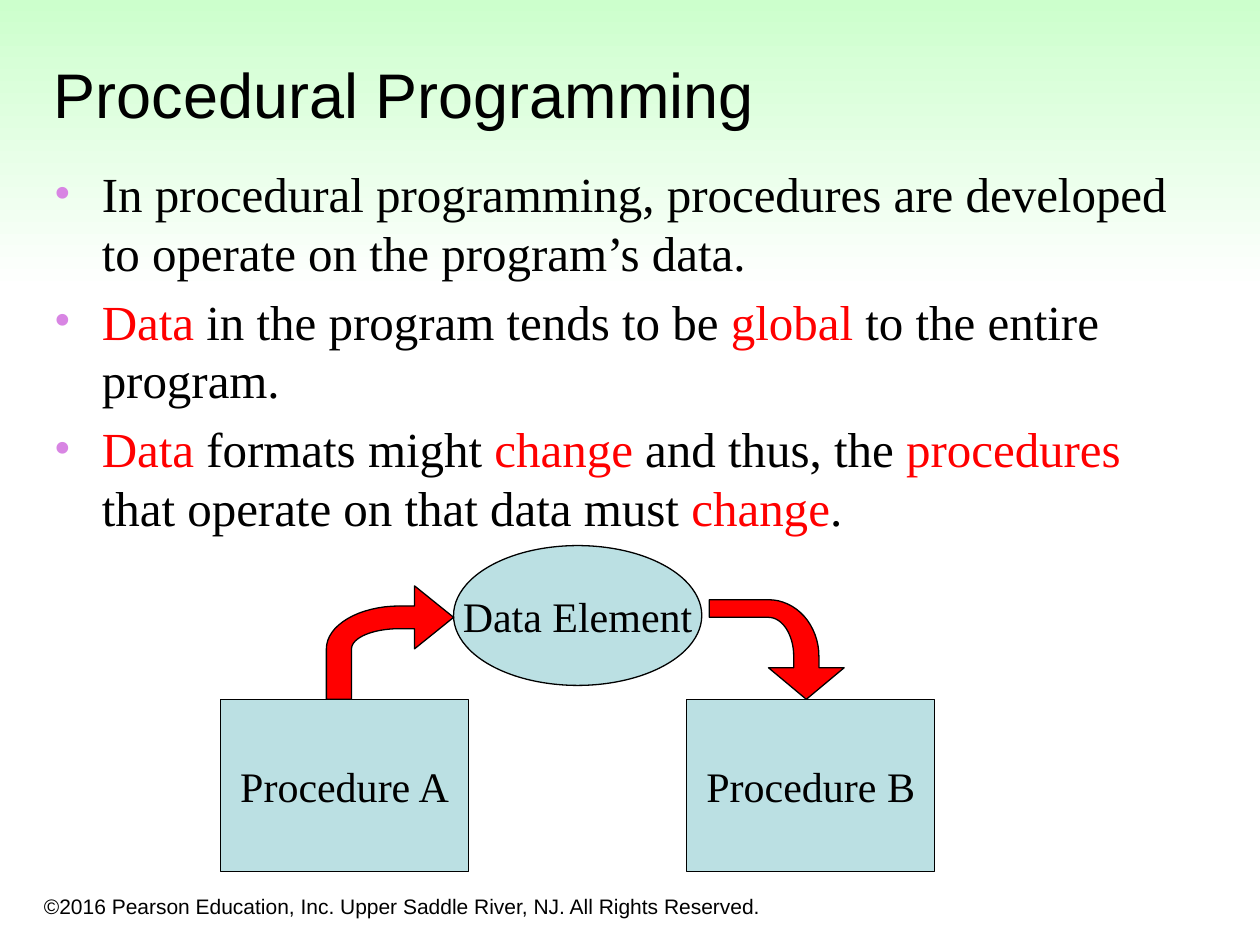
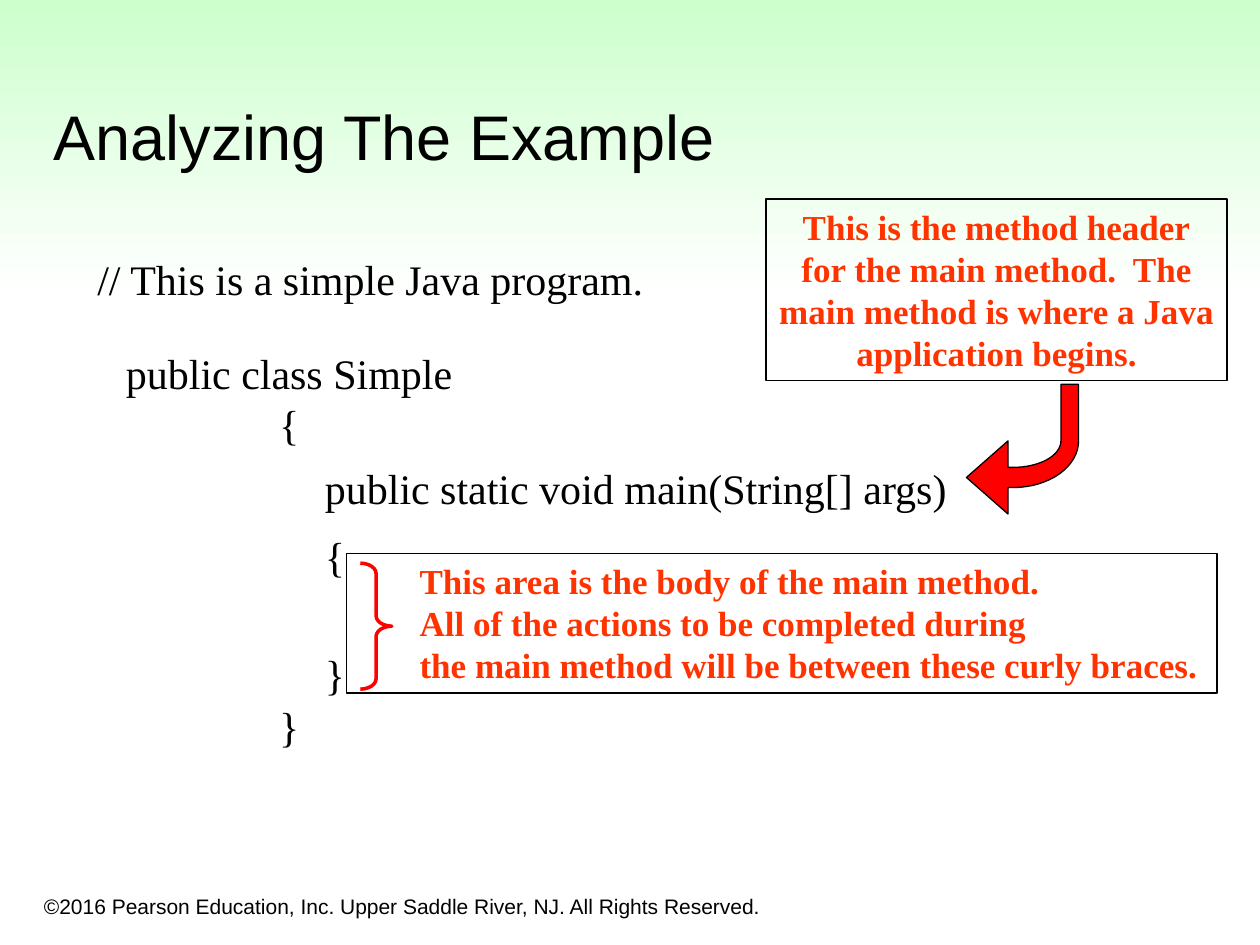
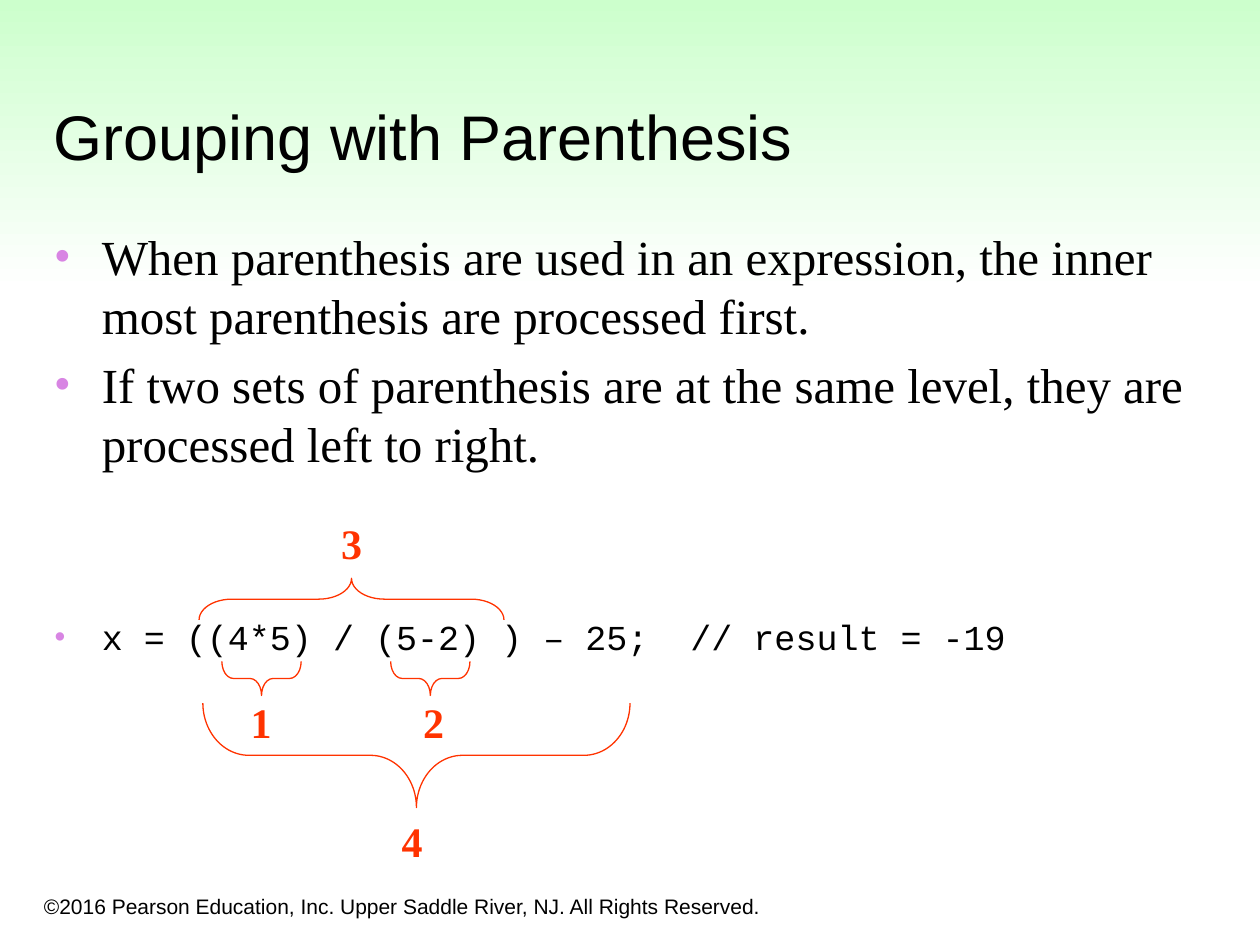
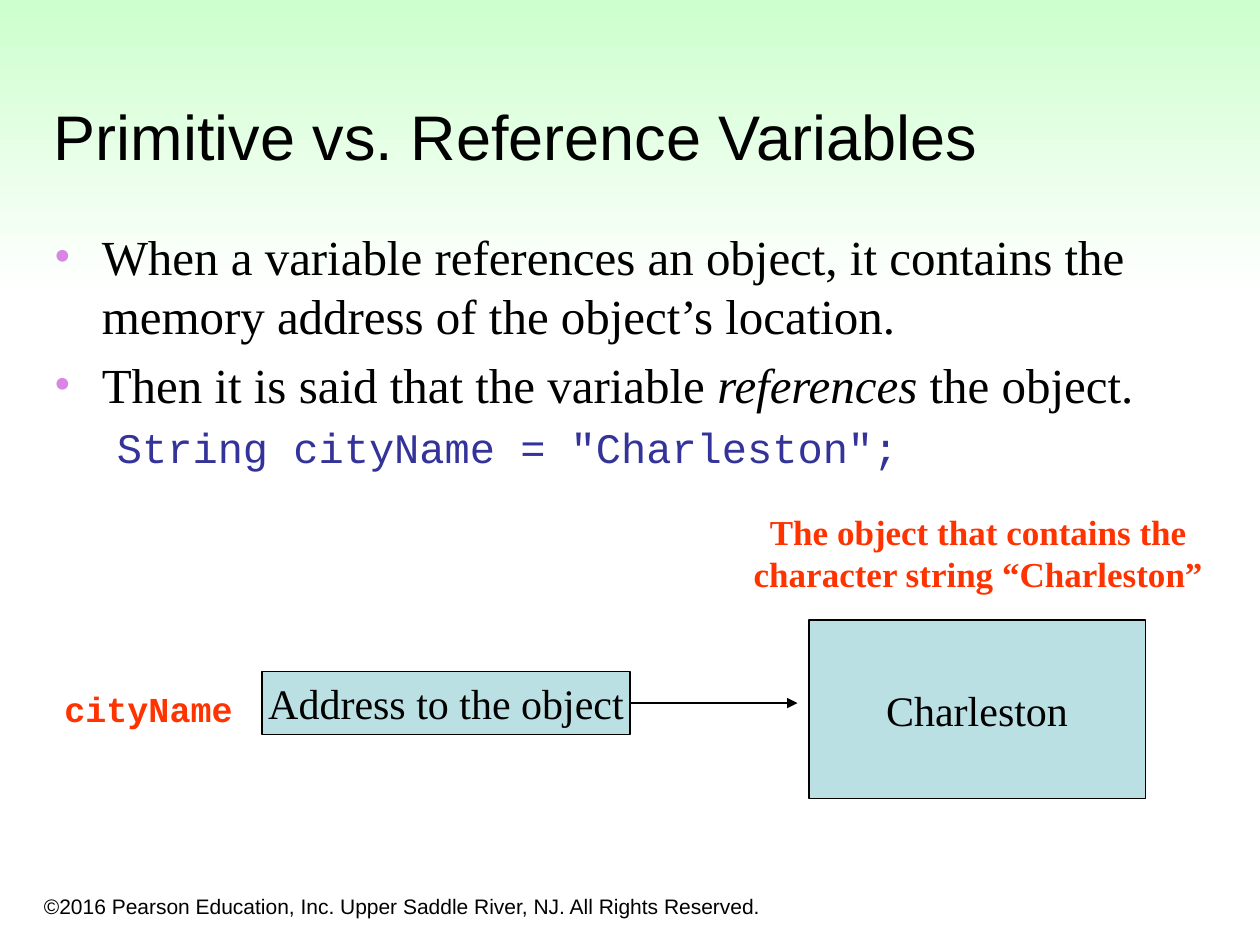
from math import cos, pi, sin

from lxml import etree
from pptx import Presentation
from pptx.dml.color import RGBColor
from pptx.enum.shapes import MSO_CONNECTOR, MSO_SHAPE
from pptx.enum.text import MSO_ANCHOR, PP_ALIGN
from pptx.oxml.ns import qn
from pptx.util import Inches, Pt

# The slide is a grid of 10 columns by 7.5 rows of one inch each.
COLUMNS, ROWS = 10, 7.5

BLACK, WHITE = "000000", "FFFFFF"
MINT, PALE_BLUE = "CCFFCC", "BBE0E3"
RED, ORANGE_RED = "FF0000", "FF3300"
CODE_BLUE, BULLET_VIOLET = "333399", "D885E3"

SANS, SERIF, MONO = "Arial", "Times New Roman", "Courier New"
COPYRIGHT = "©2016 Pearson Education, Inc. Upper Saddle River, NJ. All Rights Reserved."


def rgb(color):
    return RGBColor.from_string(color)


def cells(*lengths):
    return [Inches(length) for length in lengths]


def style_font(font, name, size, color, bold=None):
    font.name = name
    font.size = Pt(size)
    font.color.rgb = rgb(color)
    font.bold = bold


def write(frame, lines, font=SERIF, size=24, color=BLACK, bold=None,
          align=PP_ALIGN.LEFT, gaps=()):
    """Put one line in each paragraph; gaps are the points before each later one."""
    for index, line in enumerate(lines):
        paragraph = frame.paragraphs[0] if index == 0 else frame.add_paragraph()
        paragraph.text = line
        paragraph.alignment = align
        if index and gaps:
            paragraph.space_before = Pt(gaps[index - 1])
        style_font(paragraph.font, font, size, color, bold)


def add_text(slide, box, lines, wrap=False, anchor=MSO_ANCHOR.TOP, **style):
    frame = slide.shapes.add_textbox(*cells(*box)).text_frame
    frame.word_wrap = wrap
    frame.vertical_anchor = anchor
    write(frame, lines, **style)


def paint(shape, fill=None, line=BLACK, width=0.75):
    shape.shadow.inherit = False
    if fill:
        shape.fill.solid()
        shape.fill.fore_color.rgb = rgb(fill)
    else:
        shape.fill.background()
    shape.line.color.rgb = rgb(line)
    shape.line.width = Pt(width)


def add_node(slide, box, label, kind=MSO_SHAPE.RECTANGLE):
    shape = slide.shapes.add_shape(kind, *cells(*box))
    paint(shape, PALE_BLUE)
    shape.text_frame.word_wrap = False
    shape.text_frame.vertical_anchor = MSO_ANCHOR.MIDDLE
    write(shape.text_frame, [label], align=PP_ALIGN.CENTER)


def add_callout(slide, box, lines, align, left_inset=0.1):
    shape = slide.shapes.add_shape(MSO_SHAPE.RECTANGLE, *cells(*box))
    paint(shape)
    frame = shape.text_frame
    frame.word_wrap = False
    frame.vertical_anchor = MSO_ANCHOR.TOP
    frame.margin_left = Inches(left_inset)
    write(frame, lines, size=20, color=ORANGE_RED, bold=True, align=align)


def add_brace(slide, box, curl, middle=0.5, rotation=0, color=ORANGE_RED, width=0.75):
    """Draw a right brace that fills the box after it has been turned."""
    left, top, across, down = box
    if rotation % 180:
        shift = (across - down) / 2
        left, top, across, down = left + shift, top - shift, down, across
    shape = slide.shapes.add_shape(MSO_SHAPE.RIGHT_BRACE, *cells(left, top, across, down))
    shape.rotation = rotation
    shape.adjustments[0] = curl
    shape.adjustments[1] = middle
    paint(shape, line=color, width=width)


def quarter_ellipse(start, corner, end, steps=16):
    """Points of the arc from start to end that bends round the corner."""
    points = []
    for step in range(1, steps + 1):
        angle = step / steps * pi / 2
        toward_end, toward_start = 1 - cos(angle), 1 - sin(angle)
        points.append(tuple(
            c + (e - c) * toward_end + (s - c) * toward_start
            for s, c, e in zip(start, corner, end)))
    return points


def add_bent_arrow(slide, head, outer, inner):
    """head is the tip and two barbs; each edge is first point, arc (start, corner, end), last."""
    tip, first_barb, last_barb = head
    points = [first_barb]
    for first, start, corner, end, last in (outer, inner):
        points += [first, start, *quarter_ellipse(start, corner, end), last]
    points.append(last_barb)
    builder = slide.shapes.build_freeform(*cells(*tip))
    builder.add_line_segments([cells(*point) for point in points], close=True)
    paint(builder.convert_to_shape(), RED)


def add_pointer(slide, start, end):
    connector = slide.shapes.add_connector(MSO_CONNECTOR.STRAIGHT, *cells(*start, *end))
    connector.line.color.rgb = rgb(BLACK)
    connector.line.width = Pt(0.75)
    properties = connector._element.spPr
    etree.SubElement(properties.get_or_add_ln(), qn("a:tailEnd"), type="triangle")
    etree.SubElement(properties, qn("a:effectLst"))


def set_indent(paragraph, margin, first_line, bullet=True):
    properties = paragraph._p.get_or_add_pPr()
    properties.set("marL", str(Inches(margin)))
    properties.set("indent", str(Inches(first_line)))
    if bullet:
        bullet_color = etree.SubElement(properties, qn("a:buClr"))
        etree.SubElement(bullet_color, qn("a:srgbClr"), val=BULLET_VIOLET)
        etree.SubElement(properties, qn("a:buFont"), typeface=SERIF)
        etree.SubElement(properties, qn("a:buChar"), char="•")


def emphasize_red(font):
    font.color.rgb = rgb(RED)


def emphasize_italic(font):
    font.italic = True


def add_body(slide, top, height, bullets, emphasize=None):
    """Write bullets; text between two bars is emphasized."""
    frame = slide.shapes.add_textbox(*cells(0.33, top, 9.07, height)).text_frame
    frame.word_wrap = True
    frame.margin_right = 0
    for index, bullet in enumerate(bullets):
        paragraph = frame.paragraphs[0] if index == 0 else frame.add_paragraph()
        if index:
            paragraph.space_before = Pt(5.6)
        set_indent(paragraph, 0.38, -0.38)
        style_font(paragraph.font, SERIF, 28, BLACK)
        for position, piece in enumerate(bullet.split("|")):
            if piece:
                run = paragraph.add_run()
                run.text = piece
                if position % 2:
                    emphasize(run.font)
    return frame


def add_code_line(frame, code, size, color, gap, margin, first_line, bullet):
    paragraph = frame.add_paragraph()
    paragraph.text = code
    paragraph.space_before = Pt(gap)
    set_indent(paragraph, margin, first_line, bullet)
    style_font(paragraph.font, MONO, size, color)


def add_slide(presentation, title, title_top=0.33):
    slide = presentation.slides.add_slide(presentation.slide_layouts[6])
    band = slide.shapes.add_shape(MSO_SHAPE.PENTAGON, *cells(0, -0.01, COLUMNS, 2.33))
    band.adjustments[0] = 0
    band.shadow.inherit = False
    band.line.fill.background()
    band.fill.gradient()
    band.fill.gradient_angle = 270
    for stop, color, position in zip(band.fill.gradient_stops, (MINT, WHITE), (0, 1)):
        stop.color.rgb = rgb(color)
        stop.position = position
    add_text(slide, (0.25, 6.92, 6.08, 0.42), [COPYRIGHT], wrap=True,
             anchor=MSO_ANCHOR.BOTTOM, font=SANS, size=12)
    add_text(slide, (0.33, title_top, 9.42, 1.09), [title], wrap=True,
             anchor=MSO_ANCHOR.BOTTOM, font=SANS, size=36)
    return slide


def build_procedural(presentation):
    slide = add_slide(presentation, "Procedural Programming", title_top=0)
    add_body(slide, 1.25, 5, [
        "In procedural programming, procedures are developed to operate on the program’s data.",
        "|Data| in the program tends to be |global| to the entire program.",
        "|Data| formats might |change| and thus, the |procedures| that operate on that data "
        "must |change|.",
    ], emphasize_red)
    for left, label in ((1.75, "Procedure A"), (5.45, "Procedure B")):
        add_node(slide, (left, 5.55, 1.97, 1.37), label)
    add_node(slide, (3.6, 4.33, 1.97, 1.11), "Data Element", MSO_SHAPE.OVAL)
    add_bent_arrow(
        slide, [(3.6, 4.9), (3.29, 4.65), (3.29, 5.15)],
        outer=[(3.29, 4.81), (3.17, 4.81), (2.59, 4.81), (2.59, 5.15), (2.59, 5.55)],
        inner=[(2.79, 5.55), (2.79, 5.15), (2.79, 4.99), (3.17, 4.99), (3.29, 4.99)])
    add_bent_arrow(
        slide, [(6.4, 5.55), (6.7, 5.3), (6.1, 5.3)],
        outer=[(6.5, 5.3), (6.5, 5.21), (6.5, 4.76), (6.1, 4.76), (5.63, 4.76)],
        inner=[(5.63, 4.9), (6.1, 4.9), (6.3, 4.9), (6.3, 5.21), (6.3, 5.3)])


def build_example(presentation):
    slide = add_slide(presentation, "Analyzing The Example")
    add_text(slide, (0.67, 1.96, 4.54, 0.58), ["// This is a simple Java program."],
             align=PP_ALIGN.CENTER)
    add_text(slide, (0.67, 2.71, 3.25, 3.38), ["public class Simple", "{", "}"],
             wrap=True, align=PP_ALIGN.CENTER, gaps=(0, 144))
    add_text(slide, (2.48, 3.62, 5.18, 2.52),
             ["public static void main(String[] args)", "{", "}"], gaps=(10, 38.5))
    add_callout(slide, (2.75, 4.39, 6.91, 1.11), [
        "This area is the body of the main method.",
        "All of the actions to be completed during",
        "the main method will be between these curly braces.",
    ], PP_ALIGN.LEFT, left_inset=0.58)
    add_brace(slide, (2.86, 4.47, 0.25, 1), curl=0.33, color=RED, width=2)
    add_callout(slide, (6.08, 1.58, 3.66, 1.44), [
        "This is the method header",
        "for the main method.  The",
        "main method is where a Java",
        "application begins.",
    ], PP_ALIGN.CENTER)
    add_bent_arrow(
        slide, [(7.67, 3.79), (8, 4.08), (8, 3.5)],
        outer=[(8, 3.87), (8.04, 3.87), (8.56, 3.87), (8.56, 3.5), (8.56, 3.05)],
        inner=[(8.42, 3.05), (8.42, 3.5), (8.42, 3.71), (8.04, 3.71), (8, 3.71)])


def build_grouping(presentation):
    slide = add_slide(presentation, "Grouping with Parenthesis")
    frame = add_body(slide, 1.75, 3.71, [
        "When parenthesis are used in an expression, the inner most parenthesis are "
        "processed first.",
        "If two sets of parenthesis are at the same level, they are processed left to right.",
    ])
    add_code_line(frame, "x = ((4*5) / (5-2) ) – 25;  // result = -19", 20, BLACK,
                  gap=82, margin=0.38, first_line=-0.38, bullet=True)
    for left in (1.76, 3.1):
        add_brace(slide, (left, 5.25, 0.63, 0.27), curl=0.34, rotation=90)
    add_brace(slide, (1.58, 4.59, 2.42, 0.33), curl=0.79, rotation=270)
    add_brace(slide, (1.61, 5.58, 3.39, 0.83), curl=0.44, rotation=90)
    for step, left, top in (("1", 1.89, 5.48), ("2", 3.26, 5.48),
                            ("3", 2.61, 4.06), ("4", 3.09, 6.42)):
        add_text(slide, (left, top, 0.33, 0.5), [step], wrap=True,
                 color=ORANGE_RED, bold=True, align=PP_ALIGN.CENTER)


def build_references(presentation):
    slide = add_slide(presentation, "Primitive vs. Reference Variables")
    frame = add_body(slide, 1.75, 2.58, [
        "When a variable references an object, it contains the memory address of the "
        "object’s location.",
        "Then it is said that the variable |references| the object.",
    ], emphasize_italic)
    add_code_line(frame, 'String cityName = "Charleston";', 24, CODE_BLUE,
                  gap=4.8, margin=0.81, first_line=-0.31, bullet=False)
    add_node(slide, (6.42, 4.92, 2.67, 1.42), "Charleston")
    add_node(slide, (2.08, 5.33, 2.92, 0.5), "Address to the object")
    label_style = dict(size=20, color=ORANGE_RED, bold=True, align=PP_ALIGN.CENTER)
    add_text(slide, (0.38, 5.41, 1.6, 0.43), ["cityName"], font=MONO, **label_style)
    add_pointer(slide, (5, 5.58), (6.33, 5.58))
    add_text(slide, (5.88, 4, 3.77, 0.77),
             ["The object that contains the", "character string “Charleston”"], **label_style)


def main():
    presentation = Presentation()
    presentation.slide_width, presentation.slide_height = cells(COLUMNS, ROWS)
    build_procedural(presentation)
    build_example(presentation)
    build_grouping(presentation)
    build_references(presentation)
    presentation.save("out.pptx")


if __name__ == "__main__":
    main()
